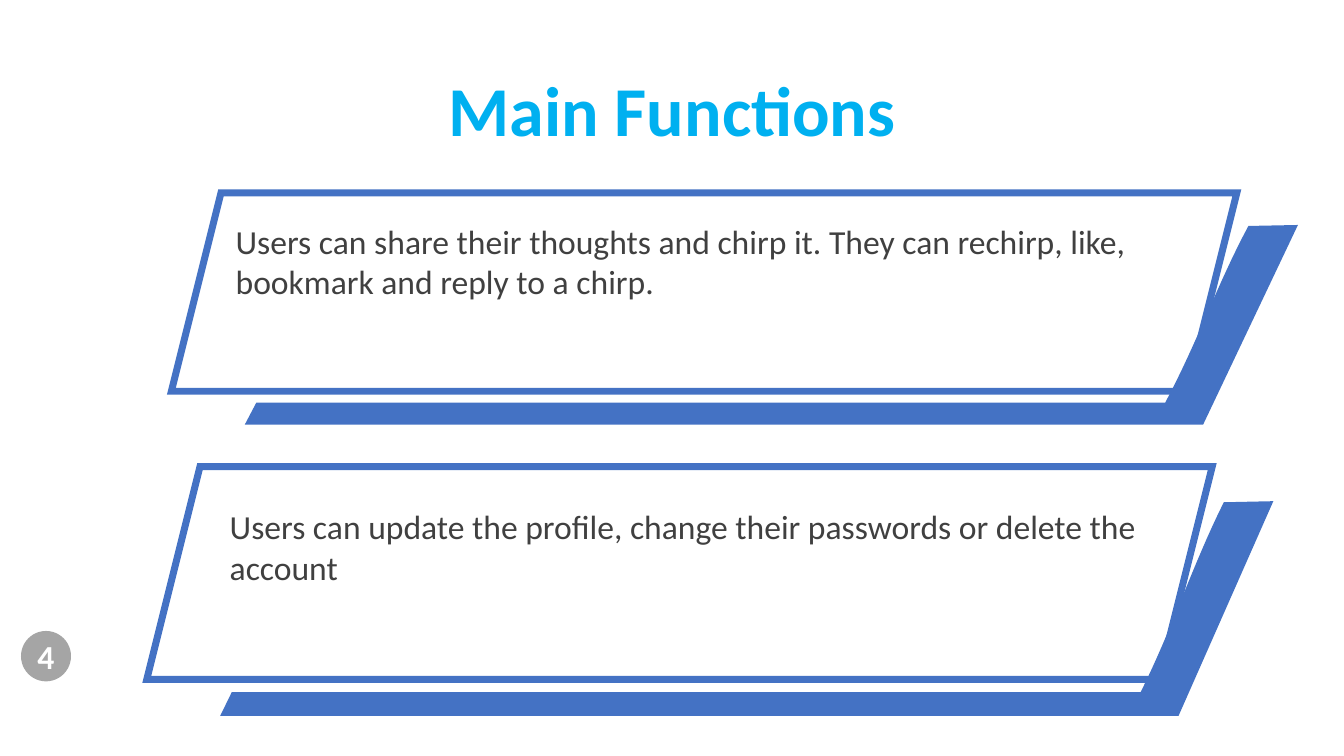
"""Build the Main Functions slide with two ribboned panels."""
from lxml import etree
from pptx import Presentation, util as u
from pptx.dml.color import RGBColor
from pptx.enum import shapes, text
from pptx.oxml.ns import qn

TITLE = "Main Functions"
PAGE_NUMBER = "4"
FONT = "Calibri"
BLUE, SKY, GREY, DARK, WHITE = "4472C4", "00B0F0", "A5A5A5", "404040", "FFFFFF"
PANELS = [
    {"words": "Users can share their thoughts and chirp it. They can rechirp, like, "
              "bookmark and reply to a chirp.",
     "panel": (4.32, 4.86, 26.85, 5.0), "ribbon": (6.17, 5.67, 26.54, 5.03),
     "text": (5.69, 5.44, 24.1, 2.31)},
    {"words": "Users can update the profile, change their passwords or delete the account",
     "panel": (3.7, 11.76, 26.85, 5.36), "ribbon": (5.55, 12.63, 26.54, 5.41),
     "text": (5.54, 12.63, 24.1, 2.31)},
]
RIBBON_PERCENT = [(95.3, 0.5), (100, 0), (91, 100), (0, 100), (1.1, 89), (87.4, 89)]
CURVE_PERCENT = [(87.4, 89), (90.4, 59.5), (92.3, 30), (95.3, 0.5)]
CURVE_STEPS = 16


def color(value):
    return RGBColor.from_string(value)


def lengths(box):
    return [u.Cm(value) for value in box]


def paint(shape, fill):
    shape.shadow.inherit = False
    shape.fill.solid()
    shape.fill.fore_color.rgb = color(fill)
    shape.line.fill.background()


def write(shape, words, size, shade, bold=False, align=text.PP_ALIGN.LEFT):
    frame = shape.text_frame
    frame.word_wrap = True
    paragraph = frame.paragraphs[0]
    paragraph.alignment = align
    run = paragraph.add_run()
    run.text = words
    run.font.name, run.font.size, run.font.bold = FONT, u.Pt(size), bold
    run.font.color.rgb = color(shade)
    return frame


def bezier(points, t):
    weights = ((1 - t) ** 3, 3 * t * (1 - t) ** 2, 3 * t * t * (1 - t), t ** 3)
    return tuple(sum(w * p[axis] for w, p in zip(weights, points)) for axis in (0, 1))


def add_panel(group, box):
    panel = group.shapes.add_shape(shapes.MSO_SHAPE.PARALLELOGRAM, *lengths(box))
    paint(panel, WHITE)
    panel.line.color.rgb = color(BLUE)
    panel.line.width = u.Pt(5)
    outline = panel._element.spPr.find(qn("a:ln"))
    etree.SubElement(outline, qn("a:miter")).set("lim", "800000")


def add_ribbon(group, box):
    left, top, width, height = lengths(box)
    curve = [bezier(CURVE_PERCENT, step / CURVE_STEPS) for step in range(1, CURVE_STEPS)]
    points = [(int(left + x * width / 100), int(top + y * height / 100))
              for x, y in RIBBON_PERCENT + curve]
    builder = group.shapes.build_freeform(*points[0])
    builder.add_line_segments(points[1:], close=True)
    paint(builder.convert_to_shape(), BLUE)


presentation = Presentation()
presentation.slide_width, presentation.slide_height = u.Cm(33.87), u.Cm(19.05)
slide = presentation.slides.add_slide(presentation.slide_layouts[5])

title = slide.shapes.title
title.left, title.top, title.width, title.height = lengths((2.34, 1.02, 29.21, 3.68))
title_frame = write(title, TITLE, 50, SKY, True, text.PP_ALIGN.CENTER)
title_frame.vertical_anchor = text.MSO_ANCHOR.MIDDLE
title_frame.paragraphs[0].line_spacing = 0.9

for item in PANELS:
    group = slide.shapes.add_group_shape()
    add_panel(group, item["panel"])
    add_ribbon(group, item["ribbon"])

for item in PANELS:
    write(slide.shapes.add_textbox(*lengths(item["text"])), item["words"], 24, DARK)

badge = slide.shapes.add_shape(shapes.MSO_SHAPE.OVAL, *lengths((0.53, 15.9, 1.26, 1.27)))
paint(badge, GREY)
badge_frame = write(badge, PAGE_NUMBER, 24, WHITE, True, text.PP_ALIGN.CENTER)
badge_frame.vertical_anchor = text.MSO_ANCHOR.MIDDLE
badge_frame.margin_left = badge_frame.margin_right = 0

presentation.save("out.pptx")
